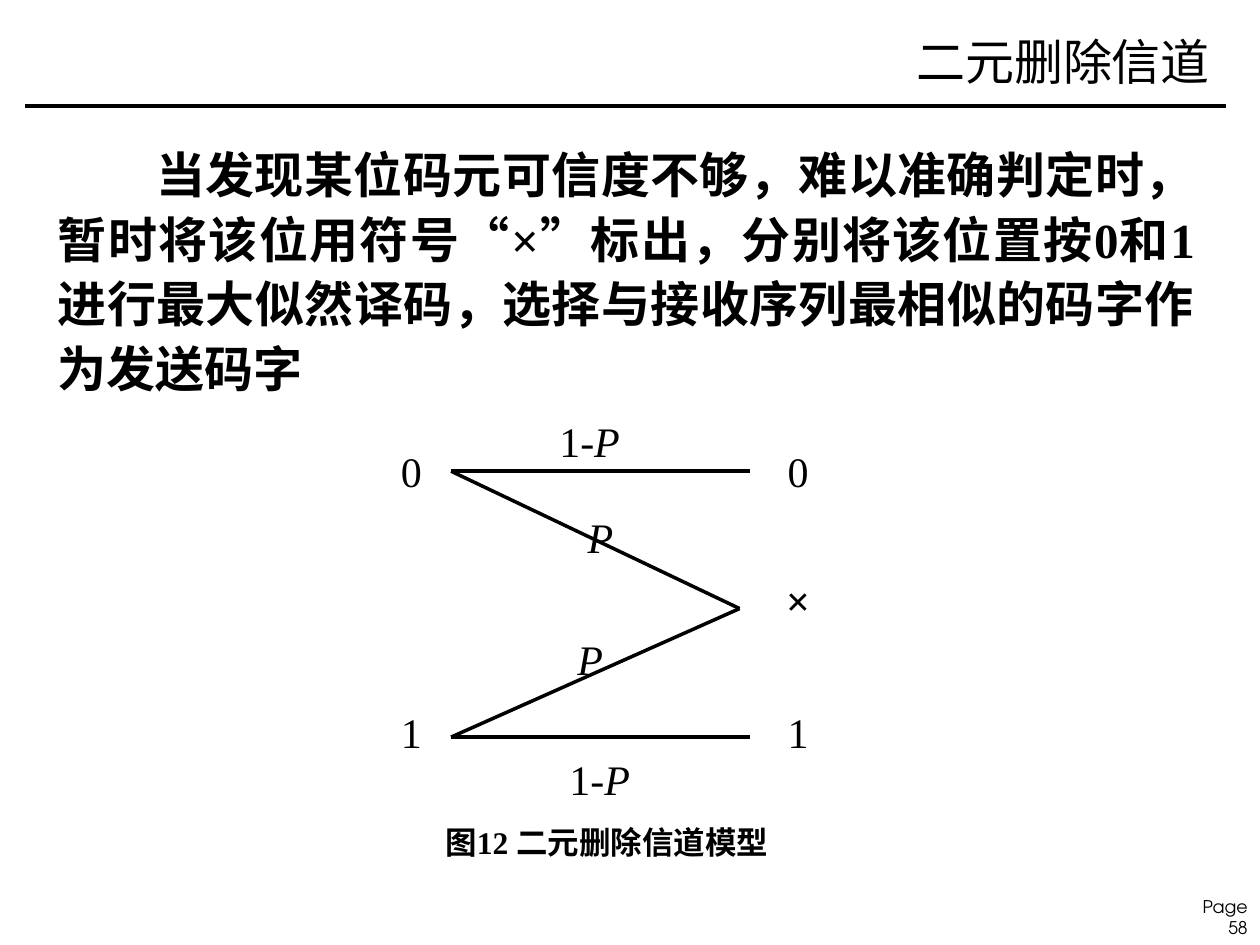
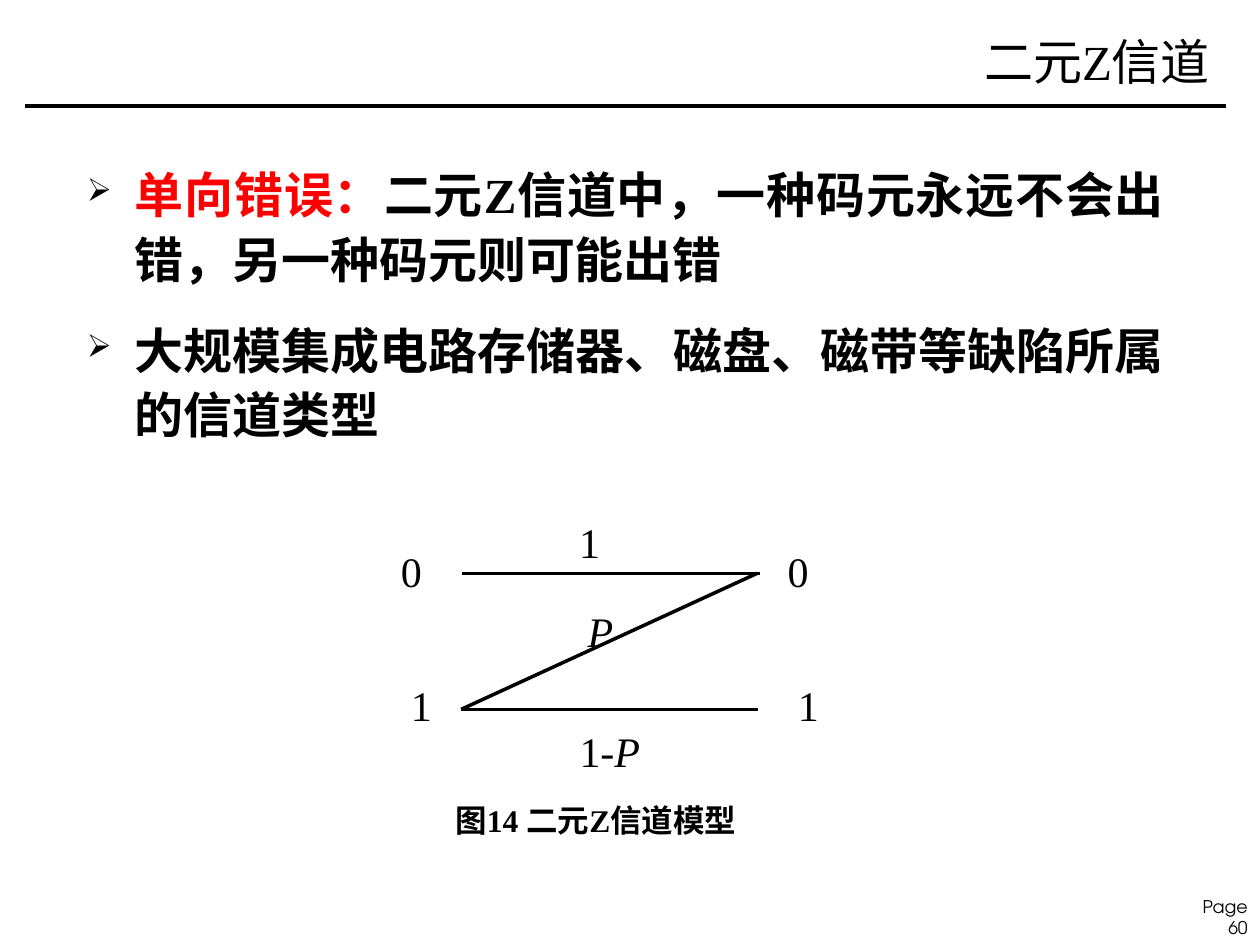
from dataclasses import dataclass
from typing import NamedTuple, Optional

from lxml.etree import SubElement
from pptx import Presentation
from pptx.dml.color import RGBColor
from pptx.enum.shapes import MSO_CONNECTOR as Connector
from pptx.enum.text import MSO_ANCHOR as Anchor, PP_ALIGN as Align
from pptx.oxml.ns import qn
from pptx.util import Inches, Pt


@dataclass(frozen=True)
class Theme:
    ink: str = "000000"
    accent: str = "FF0000"
    latin: str = "Times New Roman"
    chinese: str = "Noto Sans CJK SC"
    sans: str = "Arial"
    footer: str = "TeX Gyre Adventor"
    heading_size: int = 28
    label_size: int = 24
    caption_size: int = 18
    footer_size: int = 10
    line_width: int = 2


THEME = Theme()


class Run(NamedTuple):
    text: str
    font: str = THEME.chinese
    italic: bool = False
    color: str = THEME.ink


class Box(NamedTuple):
    left: float
    top: float
    width: float
    height: float


class Label(NamedTuple):
    """A symbol or probability in a channel diagram."""
    runs: list
    left: float
    top: float
    width: float = 0.63
    bold: bool = False


class Branch(NamedTuple):
    """A transition line; source is the index of the label it starts from."""
    start: tuple
    end: tuple
    source: Optional[int] = None


class Channel(NamedTuple):
    title: str
    page: int
    body_box: Box
    paragraphs: list
    body_format: dict
    labels: list
    branches: list
    caption_box: Box
    caption: list


# Shared drawing functions
def add_bullet(paragraph, indent: float) -> None:
    properties = paragraph._p.get_or_add_pPr()
    properties.set("marL", str(Inches(indent)))
    properties.set("indent", str(-Inches(indent)))
    color = SubElement(properties, qn("a:buClr"))
    SubElement(color, qn("a:srgbClr"), val=THEME.ink)
    SubElement(properties, qn("a:buSzPct"), val="65000")
    SubElement(properties, qn("a:buChar"), char="➢")


def add_text(slide, box: Box, paragraphs: list, *, size: int,
             align=Align.LEFT, anchor=Anchor.TOP, bold: bool = False,
             line_spacing: float = 1.0, space_after: float = 0,
             first_indent: float = 0, bullet_indent: float = 0,
             left_margin: float = 0.1):
    shape = slide.shapes.add_textbox(*map(Inches, box))
    frame = shape.text_frame
    frame.word_wrap = True
    frame.vertical_anchor = anchor
    frame.margin_left = Inches(left_margin)
    for index, runs in enumerate(paragraphs):
        paragraph = frame.add_paragraph() if index else frame.paragraphs[0]
        paragraph.alignment = align
        paragraph.line_spacing = line_spacing
        paragraph.space_after = Pt(space_after)
        if first_indent:
            paragraph._p.get_or_add_pPr().set("indent", str(Inches(first_indent)))
        if bullet_indent:
            add_bullet(paragraph, bullet_indent)
        for part in runs:
            run = paragraph.add_run()
            run.text = part.text
            font = run.font
            font.name, font.size = part.font, Pt(size)
            font.bold, font.italic = bold, part.italic
            font.color.rgb = RGBColor.from_string(part.color)
            SubElement(run._r.get_or_add_rPr(), qn("a:ea"), typeface=THEME.chinese)
    return shape


def add_line(slide, start: tuple, end: tuple):
    line = slide.shapes.add_connector(
        Connector.STRAIGHT, *map(Inches, (*start, *end)))
    line.line.color.rgb = RGBColor.from_string(THEME.ink)
    line.line.width = Pt(THEME.line_width)
    SubElement(line._element.spPr, qn("a:effectLst"))
    return line


def add_frame(slide, title: str, page: int) -> None:
    """Footer, rule and title common to all slides."""
    add_text(slide, Box(9.2, 7.06, 0.8, 0.26),
             [[Run(f"Page {page}", THEME.footer)]],
             size=THEME.footer_size, align=Align.RIGHT, left_margin=0.3)
    add_line(slide, (0.2, 0.84), (9.73, 0.84))
    add_text(slide, Box(4.8, 0.11, 4.9, 0.75), [[Run(title, THEME.latin)]],
             size=THEME.heading_size, align=Align.RIGHT, anchor=Anchor.MIDDLE)


def add_diagram(slide, labels: list, branches: list) -> None:
    shapes = [
        add_text(slide, Box(label.left, label.top, label.width, 0.5),
                 [label.runs], size=THEME.label_size, align=Align.CENTER,
                 bold=label.bold)
        for label in labels
    ]
    for branch in branches:
        line = add_line(slide, branch.start, branch.end)
        if branch.source is not None:
            line.begin_connect(shapes[branch.source], 3)


def add_channel_slide(presentation, channel: Channel) -> None:
    slide = presentation.slides.add_slide(presentation.slide_layouts[6])
    add_frame(slide, channel.title, channel.page)
    add_text(slide, channel.body_box, channel.paragraphs,
             size=THEME.heading_size, align=Align.JUSTIFY, bold=True,
             line_spacing=1.1, **channel.body_format)
    add_diagram(slide, channel.labels, channel.branches)
    add_text(slide, channel.caption_box, [channel.caption],
             size=THEME.caption_size, bold=True)


# Diagram symbols
ZERO = [Run("0", THEME.latin)]
ONE = [Run("1", THEME.latin)]
CROSS = [Run("×", THEME.latin)]
ERROR = [Run("P", THEME.latin, italic=True)]
CORRECT = [*ONE, Run("-P", THEME.latin, italic=True)]

# Slide content
ERASURE = Channel(
    title="二元删除信道",
    page=58,
    body_box=Box(0.36, 1.05, 9.22, 2.19),
    paragraphs=[[
        Run("当发现某位码元可信度不够，难以准确判定时，暂时将该位用符号"),
        Run("“×”", THEME.latin),
        Run("标出，分别将该位置按"),
        Run("0", THEME.latin),
        Run("和"),
        Run("1", THEME.latin),
        Run("进行最大似然译码，选择与接收序列最相似的码字作为发送码字"),
    ]],
    body_format={"first_indent": 0.78},
    labels=[
        Label(ZERO, 2.95, 3.49),
        Label(ZERO, 6.02, 3.49),
        Label(ONE, 2.95, 5.56),
        Label(ONE, 6.02, 5.56),
        Label(CROSS, 6.02, 4.51, bold=True),
        Label(ERROR, 4.45, 4.01),
        Label(ERROR, 4.37, 4.98),
        Label(CORRECT, 4.13, 3.25, 1.1),
        Label(CORRECT, 4.21, 5.93, 1.1),
    ],
    branches=[
        Branch((3.58, 3.74), (5.95, 3.74), source=0),
        Branch((3.58, 3.74), (5.87, 4.83), source=0),
        Branch((3.58, 5.85), (5.87, 4.83)),
        Branch((3.58, 5.85), (5.95, 5.85)),
    ],
    caption_box=Box(3.38, 6.48, 2.94, 0.4),
    caption=[Run(" 图"), Run("12 ", THEME.latin), Run("二元"),
             Run("删除信道", THEME.sans), Run("模型")],
)

Z_CHANNEL = Channel(
    title="二元Z信道",
    page=60,
    body_box=Box(0.59, 1.21, 8.75, 2.49),
    paragraphs=[
        [
            Run("单向错误：", color=THEME.accent),
            Run("二元"),
            Run("Z", THEME.latin),
            Run("信道中，一种码元永远不会出错，另一种码元则可能出错"),
        ],
        [Run("大规模集成电路存储器、磁盘、磁带等缺陷所属的信道类型")],
    ],
    body_format={"bullet_indent": 0.38, "space_after": 15},
    labels=[
        Label(ZERO, 2.95, 4.28),
        Label(ZERO, 6.02, 4.28),
        Label(ONE, 3.03, 5.34),
        Label(ONE, 6.1, 5.34),
        Label(ERROR, 4.45, 4.76),
        Label(ONE, 4.13, 4.05, 1.1),
        Label(CORRECT, 4.29, 5.71, 1.1),
    ],
    branches=[
        Branch((3.67, 4.55), (6.03, 4.55)),
        Branch((3.66, 5.63), (6.01, 4.55)),
        Branch((3.66, 5.63), (6.02, 5.63)),
    ],
    caption_box=Box(3.46, 6.31, 2.94, 0.4),
    caption=[Run(" 图"), Run("14 ", THEME.latin), Run("二元"),
             Run("Z", THEME.latin), Run("信道", THEME.sans), Run("模型")],
)


def main() -> None:
    presentation = Presentation()
    presentation.slide_width = Inches(10)
    presentation.slide_height = Inches(7.5)
    for channel in (ERASURE, Z_CHANNEL):
        add_channel_slide(presentation, channel)
    presentation.save("out.pptx")


if __name__ == "__main__":
    main()
